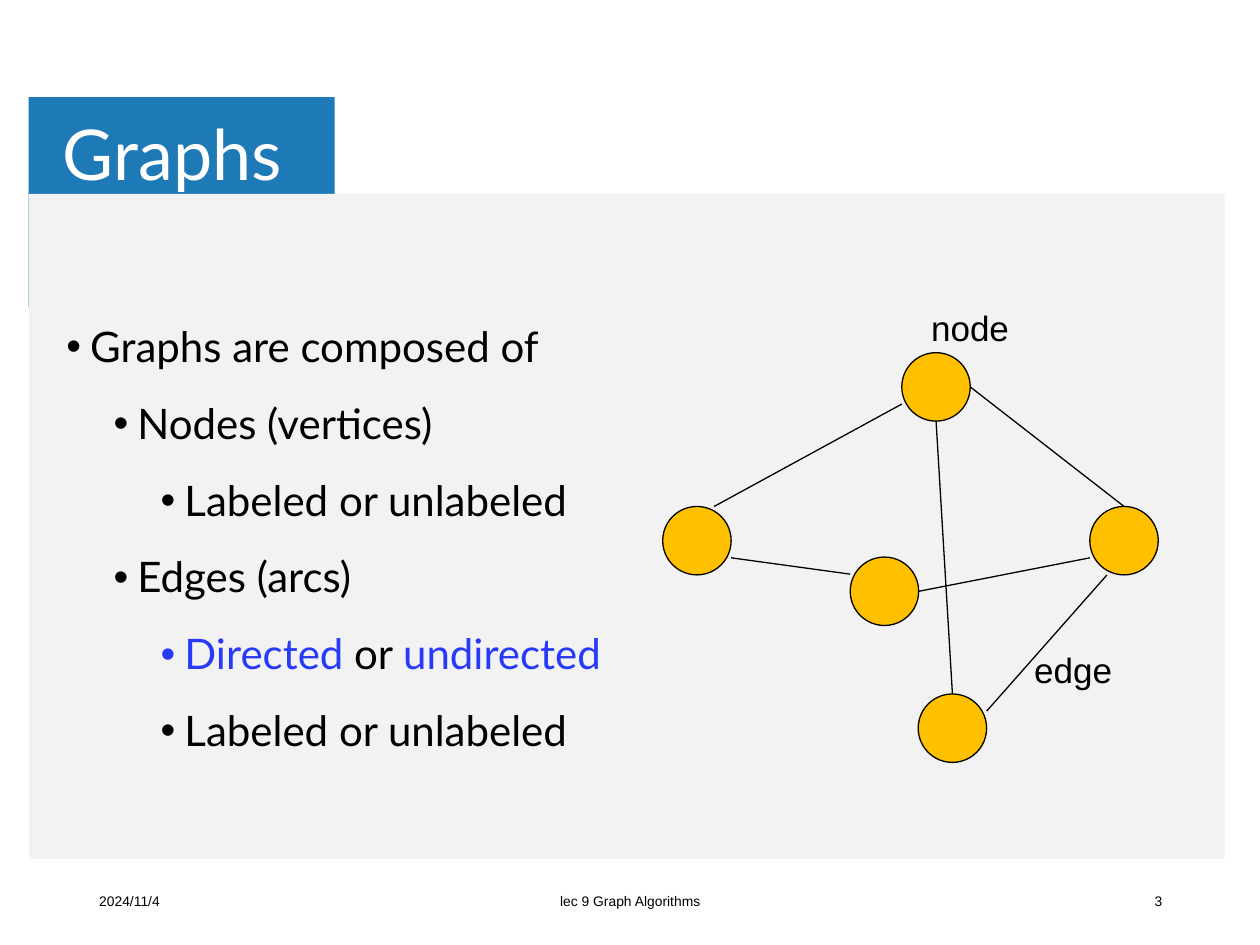
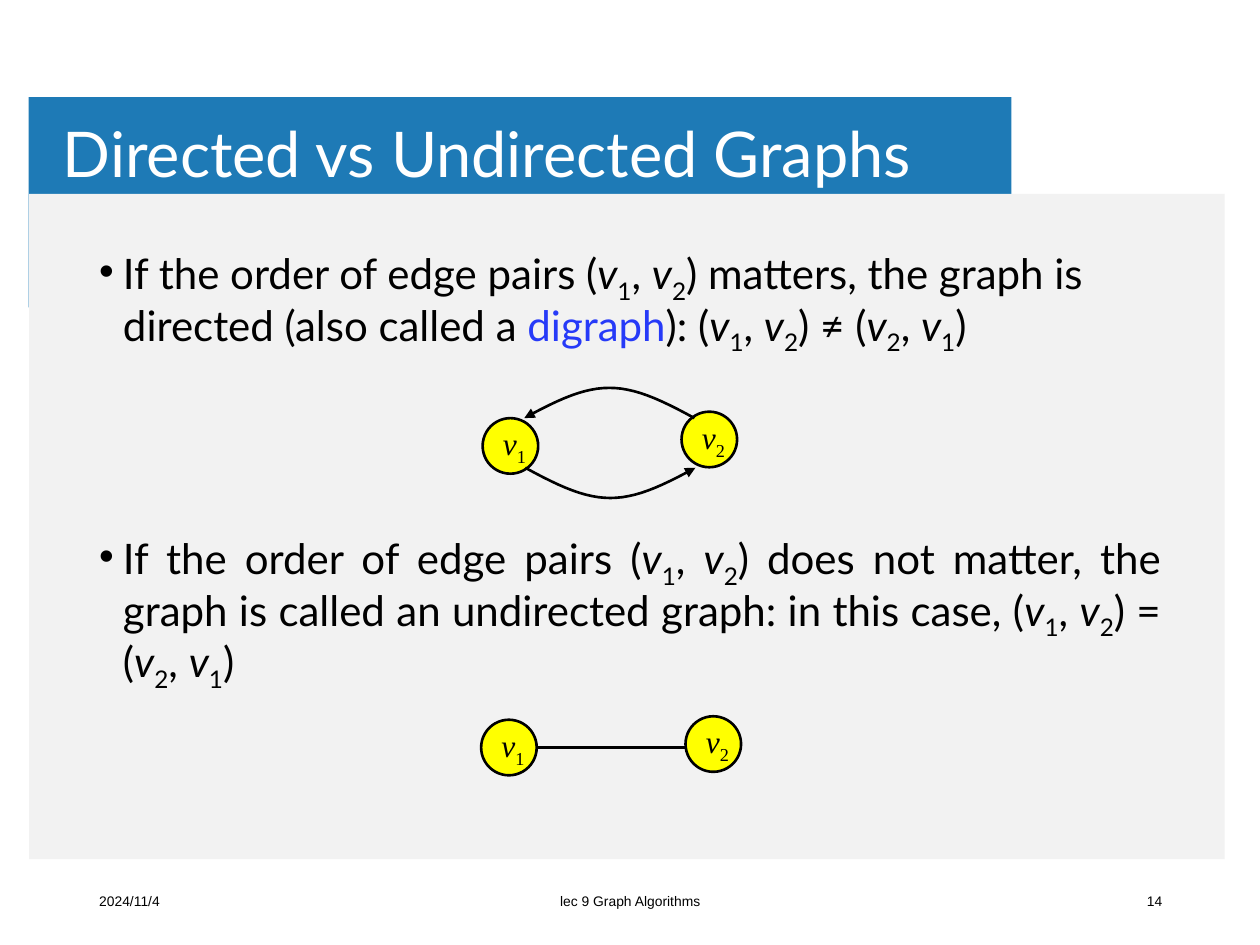
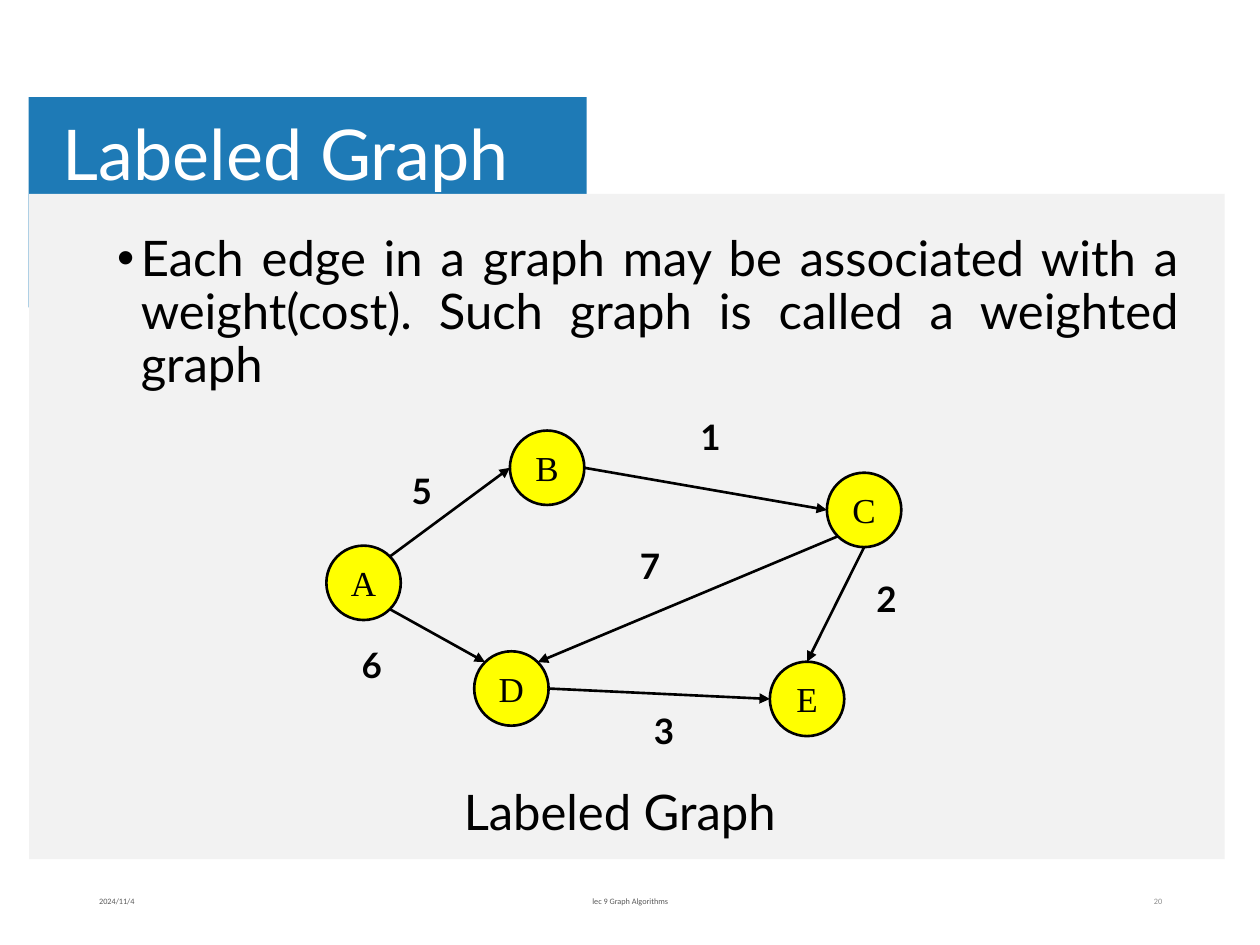
from dataclasses import dataclass
from lxml.etree import SubElement
from pptx import Presentation
from pptx.dml.color import RGBColor
from pptx.enum.shapes import MSO_CONNECTOR, MSO_SHAPE
from pptx.enum.text import MSO_ANCHOR, PP_ALIGN
from pptx.oxml.ns import qn
from pptx.util import Cm, Pt


@dataclass(frozen=True)
class Theme:
    band: str = "1E7AB6"
    panel: str = "F2F2F2"
    white: str = "FFFFFF"
    ink: str = "000000"
    key: str = "263AF8"
    gold: str = "FFC000"
    yellow: str = "FFFF00"
    gray: str = "595959"
    pale: str = "8C8C8C"
    sans: str = "Lato"
    serif: str = "Times New Roman"
    plain: str = "Arial"
    small: str = "Calibri"
    title: float = 40
    large: float = 28
    body: float = 24
    label: float = 20
    vertex: float = 18
    foot: float = 7.9
    tiny: float = 4.7
    thin: float = 0.75
    thick: float = 1.5


T = Theme()
DIAG = 0.71
V1 = [("v", "italic"), ("1", "sub")]
V2 = [("v", "italic"), ("2", "sub")]


def pair(a, b):
    return ["(", *a, ", ", *b, ")"]


def write(frame, runs, size=T.body, font=T.sans, color=T.ink, bold=False,
          align=PP_ALIGN.LEFT, lines=None, before=None, level=None):
    """Add one paragraph; a run is a string or (string, style). A level gives a bullet."""
    first = frame.paragraphs[0]
    para = frame.add_paragraph() if first.runs else first
    para.alignment = align
    if lines:
        para.line_spacing = lines
    if before:
        para.space_before = Pt(before)
    if level is not None:
        para.level = level
        props = para._p.get_or_add_pPr()
        props.set("marL", str(Cm(0.48 + 0.95 * level)))
        props.set("indent", str(-Cm(0.48)))
        SubElement(props, qn("a:buFont"), typeface=T.plain)
        SubElement(props, qn("a:buChar"), char="•")
    for part in [runs] if isinstance(runs, str) else runs:
        words, style = (part, "") if isinstance(part, str) else part
        run = para.add_run()
        run.text = words
        run.font.size = Pt(size)
        run.font.name = font
        run.font.bold = bold
        run.font.italic = style == "italic"
        run.font.color.rgb = RGBColor.from_string(T.key if style == "key" else color)
        if style == "sub":
            run._r.get_or_add_rPr().set("baseline", "-25000")


def frame(slide, left, top, width, height, anchor=MSO_ANCHOR.TOP):
    box = slide.shapes.add_textbox(Cm(left), Cm(top), Cm(width), Cm(height)).text_frame
    box.word_wrap = True
    box.vertical_anchor = anchor
    return box


def note(slide, words, left, top, width, height, **form):
    write(frame(slide, left, top, width, height), words, **form)


def block(slide, left, top, width, height, color):
    shape = slide.shapes.add_shape(
        MSO_SHAPE.RECTANGLE, Cm(left), Cm(top), Cm(width), Cm(height))
    shape.shadow.inherit = False
    shape.fill.solid()
    shape.fill.fore_color.rgb = RGBColor.from_string(color)
    shape.line.fill.background()


def stroke(shape, width, arrow=False):
    shape.line.color.rgb = RGBColor.from_string(T.ink)
    shape.line.width = Pt(width)
    if arrow:
        SubElement(shape.get_or_add_ln(), qn("a:tailEnd"), type="triangle")


def node(slide, center, radius, color, width, name=""):
    x, y = center
    shape = slide.shapes.add_shape(
        MSO_SHAPE.OVAL, Cm(x - radius), Cm(y - radius), Cm(2 * radius), Cm(2 * radius))
    shape.shadow.inherit = False
    shape.fill.solid()
    shape.fill.fore_color.rgb = RGBColor.from_string(color)
    stroke(shape, width)
    if name:
        shape.text_frame.word_wrap = False
        shape.text_frame.vertical_anchor = MSO_ANCHOR.MIDDLE
        write(shape.text_frame, name, size=T.label, font=T.serif, align=PP_ALIGN.CENTER)


def line(slide, start, end, width, arrow=False):
    link = slide.shapes.add_connector(
        MSO_CONNECTOR.STRAIGHT, *(Cm(n) for n in (*start, *end)))
    SubElement(link._element.spPr, qn("a:effectLst"))
    stroke(link, width, arrow)


def edges(slide, nodes, radius, links, width, arrow=False):
    """Join nodes; each end is shifted from its center in units of the radius."""
    for one, off, two, shift in links:
        ends = [[c + radius * d for c, d in zip(nodes[n], move)]
                for n, move in ((one, off), (two, shift))]
        line(slide, *ends, width, arrow)


def arc(slide, start, end, lift):
    """Draw a curved arrow that bulges by lift."""
    (x0, y0), (x1, y1) = start, end
    steps = 24
    points = []
    for i in range(steps + 1):
        t = i / steps
        u = 1 - t
        near, far = 3 * u * u * t, 3 * u * t * t
        along = 0.43 * near + 0.57 * far + t ** 3
        x = x0 + (x1 - x0) * along
        y = y0 + (y1 - y0) * t + lift * 4 * u * t
        points.append((Cm(x), Cm(y)))
    path = slide.shapes.build_freeform(*points[0])
    path.add_line_segments(points[1:], close=False)
    shape = path.convert_to_shape()
    shape.shadow.inherit = False
    shape.fill.background()
    stroke(shape, T.thick, arrow=True)


def base(deck, title, band, number, size=T.title, foot=T.foot, font=T.plain,
         color=T.ink, last=T.ink):
    """Start a slide with its band, panel, title and footer."""
    slide = deck.slides.add_slide(deck.slide_layouts[6])
    block(slide, 0.58, 1.96, band, 4.24, T.band)
    block(slide, 0.59, 3.91, 24.1, 13.41, T.panel)
    head = frame(slide, 1.09, 1.93, 20.4, 2.49, MSO_ANCHOR.MIDDLE)
    head.margin_left = head.margin_right = Cm(0.18)
    head.margin_top = head.margin_bottom = Cm(0.1)
    write(head, title, size=size, color=T.white, lines=0.9)
    for words, left, width, align, tint in (
            ("2024/11/4", 1.75, 5.72, PP_ALIGN.LEFT, color),
            ("lec 9 Graph Algorithms", 8.41, 8.59, PP_ALIGN.CENTER, color),
            (number, 17.96, 5.72, PP_ALIGN.RIGHT, last)):
        write(frame(slide, left, 17.65, width, 1.02, MSO_ANCHOR.MIDDLE), words,
              size=foot, font=font, color=tint, align=align)
    return slide


def graphs(deck):
    slide = base(deck, "Graphs", 6.17, "3")
    body = frame(slide, 1.09, 6.45, 12.4, 10.46)
    for level, words in (
            (0, "Graphs are composed of"),
            (1, "Nodes (vertices)"),
            (2, "Labeled or unlabeled"),
            (1, "Edges (arcs)"),
            (2, [("Directed", "key"), " or ", ("undirected", "key")]),
            (2, "Labeled or unlabeled")):
        write(body, words, lines=0.9, level=level, before=18 if level else None)
    radius = 0.69
    nodes = {"left": (14.05, 10.9), "top": (18.87, 7.8), "right": (22.66, 10.9),
             "low": (19.2, 14.68), "mid": (17.83, 11.92)}
    for center in nodes.values():
        node(slide, center, radius, T.gold, T.thin)
    edges(slide, nodes, radius, (
        ("left", (0.5, -1), "top", (-1, 0.5)),
        ("top", (1, 0), "right", (0, -1)),
        ("top", (0, 1), "low", (0, -1)),
        ("mid", (1, 0), "right", (-1, 0.5)),
        ("low", (1, -0.5), "right", (-0.5, 1)),
        ("left", (1, 0.5), "mid", (-1, -0.5))), T.thin)
    for words, left, top in (("node", 18.52, 6.05), ("edge", 20.6, 12.95)):
        note(slide, words, left, top, 3.66, 1.12, size=T.label, font=T.plain)


def directed(deck):
    slide = base(deck, "Directed vs Undirected Graphs", 19.81, "14", size=36)
    body = frame(slide, 1.75, 4.88, 21.9, 12.09)
    write(body, ["If the order of edge pairs ", *pair(V1, V2),
                 " matters, the graph is directed (also called a ", ("digraph", "key"),
                 "): ", *pair(V1, V2), " ≠ ", *pair(V2, V1)], lines=0.9, level=0)
    write(body, ["If the order of edge pairs ", *pair(V1, V2),
                 " does not matter, the graph is called an undirected graph: in this case, ",
                 *pair(V1, V2), " = ", *pair(V2, V1)],
          lines=0.9, level=0, before=104, align=PP_ALIGN.JUSTIFY)
    radius = 0.56
    for x, y, name in ((10.29, 8.99, V1), (14.3, 8.86, V2),
                       (10.26, 15.07, V1), (14.38, 15, V2)):
        node(slide, (x, y), radius, T.yellow, T.thick)
        note(slide, name, x - 0.4, y - radius, 1.2, 1.02, size=T.vertex, font=T.serif)
    arc(slide, (14, 8.43), (10.57, 8.43), -0.61)
    arc(slide, (10.59, 9.43), (14.02, 9.43), 0.61)
    line(slide, (10.82, 15.07), (13.82, 15.07), T.thick)


def labeled(deck):
    slide = base(deck, "Labeled Graph", 11.25, "20", foot=T.tiny, font=T.small,
                 color=T.gray, last=T.pale)
    note(slide, "Each edge in a graph may be associated with a weight(cost). "
         "Such graph is called a weighted graph", 2.11, 4.6, 21.9, 4.29,
         size=T.large, lines=0.9, level=0, align=PP_ALIGN.JUSTIFY)
    radius = 0.75
    nodes = {"A": (7.33, 11.75), "B": (11.03, 9.43), "C": (17.42, 10.28),
             "D": (10.31, 13.88), "E": (16.27, 14.09)}
    for name, center in nodes.items():
        node(slide, center, radius, T.yellow, T.thick, name)
    edges(slide, nodes, radius, (
        ("C", (0, 1), "E", (0, -1)),
        ("D", (1, 0), "E", (-1, 0)),
        ("A", (DIAG, DIAG), "D", (-DIAG, -DIAG)),
        ("C", (-DIAG, DIAG), "D", (DIAG, -DIAG)),
        ("B", (1, 0), "C", (-1, 0)),
        ("A", (DIAG, -DIAG), "B", (-1, 0))), T.thick, arrow=True)
    for cost, left, top in (("5", 8.05, 9.35), ("1", 13.87, 8.26), ("3", 12.93, 14.17),
                            ("7", 12.65, 10.85), ("2", 17.42, 11.51), ("6", 7.04, 12.85)):
        note(slide, cost, left, top, 1.88, 1.12, size=T.label, bold=True)
    note(slide, "Labeled Graph", 9.1, 15.62, 7.4, 1.45, size=T.large)


def main():
    deck = Presentation()
    deck.slide_width, deck.slide_height = Cm(25.4), Cm(19.05)
    graphs(deck)
    directed(deck)
    labeled(deck)
    deck.save("out.pptx")


if __name__ == "__main__":
    main()
